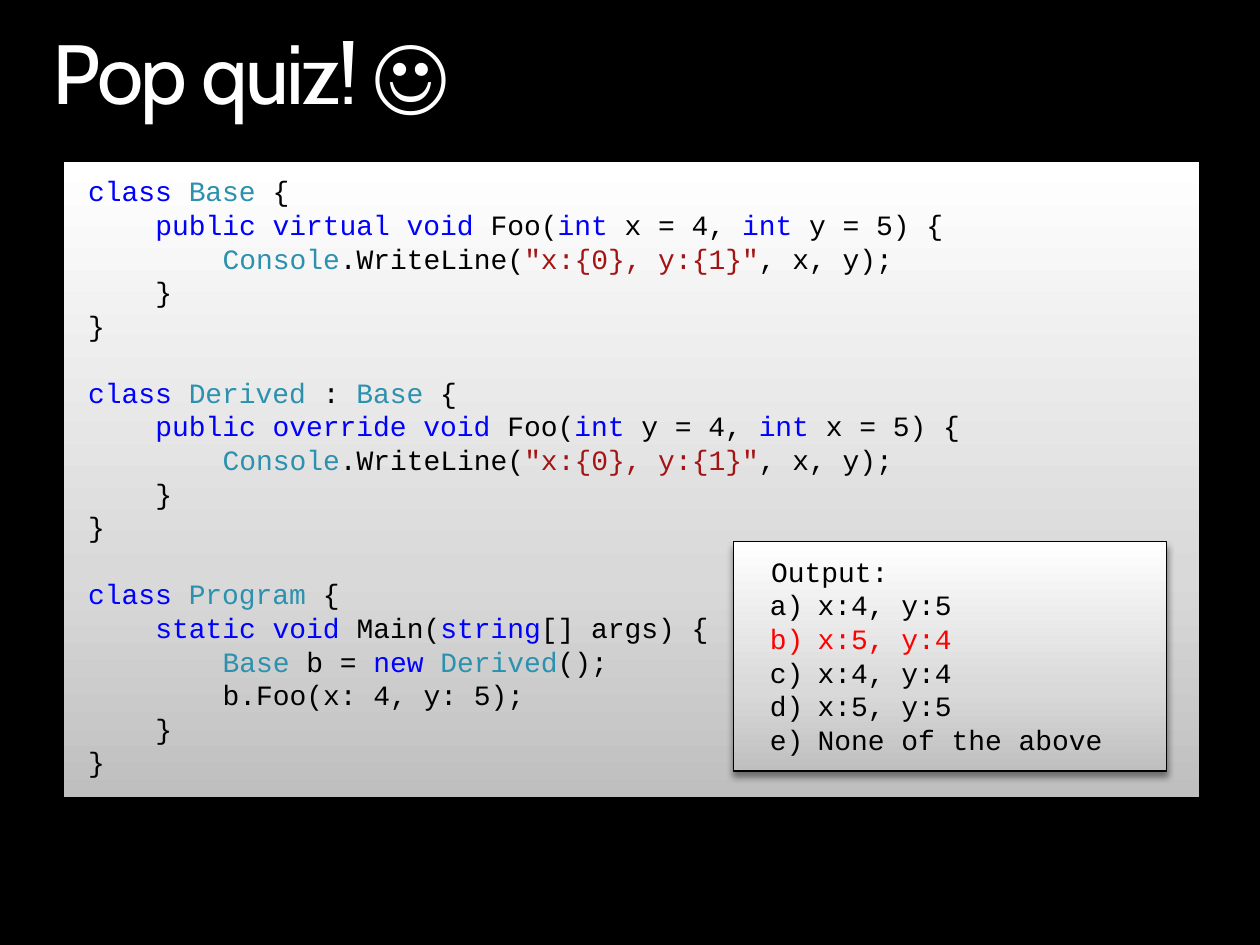
import pptx
import pptx.util
import pptx.dml.color
import pptx.enum.shapes
import pptx.enum.text
import pptx.oxml
import pptx.oxml.ns

Inches, Pt = pptx.util.Inches, pptx.util.Pt

THEME = {
    "background": "000000", "title": "FFFFFF", "border": "000000",
    "plain": "000000", "keyword": "0000FF", "type": "2B91AF",
    "string": "A31515", "answer": "FF0000",
    "gradient": [(0, "BFBFBF"), (35, "D9D9D9"), (100, "FFFFFF")],
    "title_font": "Cabin", "code_font": "Courier New",
    "title_size": 48, "code_size": 16, "class_gap": 19.2,
}

TITLE = "Pop quiz! \u263a"


def foo_class(header, modifier, first, second):
    return [
        (0, header),
        (1, [(f"public {modifier} void", "keyword"), (" Foo(", "plain"),
             ("int", "keyword"), (f" {first} = 4, ", "plain"),
             ("int", "keyword"), (f" {second} = 5) {{", "plain")]),
        (2, [("Console", "type"), (".WriteLine(", "plain"),
             ('"x:{0}, y:{1}"', "string"), (", x, y);", "plain")]),
        (1, [("}", "plain")]),
        (0, [("}", "plain")]),
    ]


CLASSES = [
    foo_class([("class ", "keyword"), ("Base ", "type"), ("{", "plain")],
              "virtual", "x", "y"),
    foo_class([("class ", "keyword"), ("Derived", "type"), (" : ", "plain"),
               ("Base ", "type"), ("{", "plain")], "override", "y", "x"),
    [
        (0, [("class ", "keyword"), ("Program ", "type"), ("{", "plain")]),
        (1, [("static void", "keyword"), (" Main(", "plain"),
             ("string", "keyword"), ("[] args) {", "plain")]),
        (2, [("Base", "type"), (" b = ", "plain"), ("new ", "keyword"),
             ("Derived", "type"), ("();", "plain")]),
        (2, [("b.Foo(x: 4, y: 5);", "plain")]),
        (1, [("}", "plain")]),
        (0, [("}", "plain")]),
    ],
]

OUTPUT_HEADING = "Output:"
CHOICES = [("x:4, y:5", "plain"), ("x:5, y:4", "answer"), ("x:4, y:4", "plain"),
           ("x:5, y:5", "plain"), ("None of the above", "plain")]


def color(role):
    return pptx.dml.color.RGBColor.from_string(THEME[role])


def xml(markup):
    return pptx.oxml.parse_xml(
        f'<a:wrap {pptx.oxml.ns.nsdecls("a")}>{markup}</a:wrap>')[0]


def add_run(paragraph, text, role, kind="code"):
    run = paragraph.add_run()
    run.text = text
    run.font.name = THEME[kind + "_font"]
    run.font.size = Pt(THEME[kind + "_size"])
    run.font.color.rgb = color(role)
    return run


def indent(paragraph, left, hanging=0):
    properties = paragraph._p.get_or_add_pPr()
    properties.set("marL", str(Inches(left)))
    properties.set("indent", str(-Inches(hanging)))
    return properties


def next_paragraph(frame):
    first = frame.paragraphs[0]
    paragraph = frame.add_paragraph() if first.runs else first
    paragraph.alignment = pptx.enum.text.PP_ALIGN.LEFT
    return paragraph


def add_panel(slide, left, top, width, height):
    panel = slide.shapes.add_shape(
        pptx.enum.shapes.MSO_SHAPE.RECTANGLE,
        Inches(left), Inches(top), Inches(width), Inches(height))
    panel.line.color.rgb = color("border")
    panel.line.width = Pt(0.75)
    panel.shadow.inherit = False
    properties = panel._element.spPr
    stops = "".join(f'<a:gs pos="{at * 1000}"><a:srgbClr val="{value}"/></a:gs>'
                    for at, value in THEME["gradient"])
    properties.insert(2, xml(
        f'<a:gradFill><a:gsLst>{stops}</a:gsLst><a:lin ang="16200000"/></a:gradFill>'))
    properties.find(pptx.oxml.ns.qn("a:effectLst")).append(xml(
        f'<a:outerShdw blurRad="{Pt(4)}" dist="{Pt(3)}" dir="5400000" rotWithShape="0">'
        f'<a:srgbClr val="{THEME["border"]}"><a:alpha val="43000"/></a:srgbClr></a:outerShdw>'))
    frame = panel.text_frame
    frame.word_wrap = True
    frame.auto_size = pptx.enum.text.MSO_AUTO_SIZE.SHAPE_TO_FIT_TEXT
    frame.vertical_anchor = pptx.enum.text.MSO_ANCHOR.TOP
    frame.margin_left = frame.margin_right = Inches(0.2)
    frame.margin_top = frame.margin_bottom = Inches(0.1)
    return frame


deck = pptx.Presentation()
deck.slide_width, deck.slide_height = Inches(10), Inches(7.5)
slide = deck.slides.add_slide(deck.slide_layouts[6])
slide.background.fill.solid()
slide.background.fill.fore_color.rgb = color("background")

title = slide.shapes.add_textbox(
    Inches(0.42), Inches(0.25), Inches(9.17), Inches(0.73)).text_frame
title.word_wrap = True
title.auto_size = pptx.enum.text.MSO_AUTO_SIZE.SHAPE_TO_FIT_TEXT
title.margin_left = title.margin_right = title.margin_top = title.margin_bottom = 0
title.paragraphs[0].line_spacing = 0.9
heading = add_run(title.paragraphs[0], TITLE, "title", "title")
heading.font._element.set("spc", "-150")

code = add_panel(slide, 0.5, 1.28, 9.02, 5.05)
tab = 4 * 0.6 * THEME["code_size"] / 72
for class_index, lines in enumerate(CLASSES):
    for line_index, (level, runs) in enumerate(lines):
        line = next_paragraph(code)
        indent(line, level * tab)
        if class_index and not line_index:
            line.space_before = Pt(THEME["class_gap"])
        for text, role in runs:
            add_run(line, text, role)

output = add_panel(slide, 5.82, 4.3, 3.44, 1.82)
output_heading = next_paragraph(output)
indent(output_heading, 0.1)
add_run(output_heading, OUTPUT_HEADING, "plain")
for text, role in CHOICES:
    choice = next_paragraph(output)
    numbering = indent(choice, 0.47, 0.38)
    numbering.append(xml(f'<a:buFont typeface="{THEME["code_font"]}"/>'))
    numbering.append(xml('<a:buAutoNum type="alphaLcParenR"/>'))
    add_run(choice, text, role)

deck.save("out.pptx")
